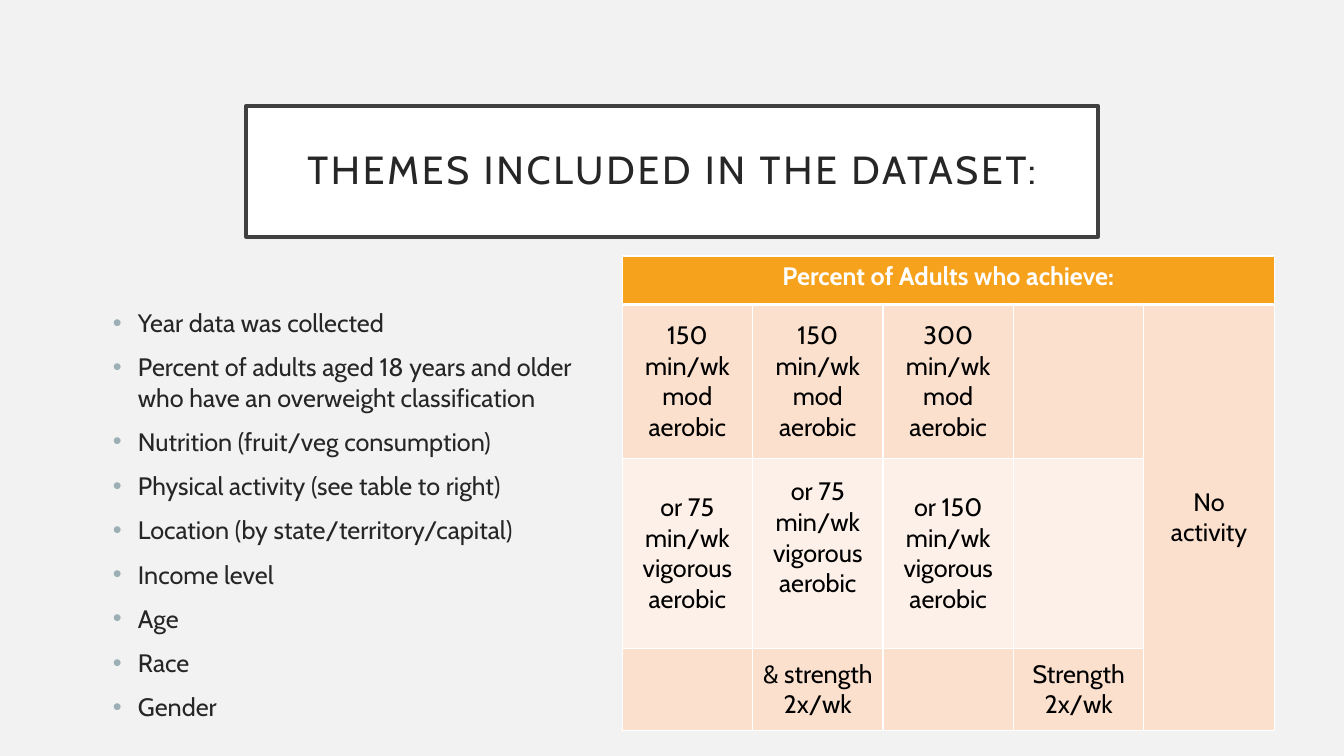
from pptx import Presentation
from pptx.dml.color import RGBColor
from pptx.enum.shapes import MSO_SHAPE
from pptx.enum.text import MSO_ANCHOR, PP_ALIGN
from pptx.oxml import parse_xml
from pptx.oxml.ns import nsdecls
from pptx.util import Inches, Pt

FONT = "Cabin"
COLORS = {
    "background": "F2F2F2", "white": "FFFFFF", "frame": "404040",
    "text": "262626", "bullet": "9BAFB5", "black": "000000",
    "header": "F6A21D", "band_dark": "FBE0CD", "band_light": "FDF0E8",
}
THEMES = [
    "Year data was collected",
    "Percent of adults aged 18 years and older who have an overweight classification",
    "Nutrition (fruit/veg consumption)",
    "Physical activity (see table to right)",
    "Location (by state/territory/capital)",
    "Income level",
    "Age",
    "Race",
    "Gender",
]
ACTIVITY = [
    ["Percent of Adults who achieve:", "", "", "", ""],
    ["150 min/wk mod aerobic", "150 min/wk mod aerobic", "300 min/wk mod aerobic",
     "", "No activity"],
    ["or 75 min/wk vigorous aerobic", "or 75 min/wk vigorous aerobic",
     "or 150 min/wk vigorous aerobic", "", ""],
    ["", "& strength 2x/wk", "", "Strength 2x/wk", ""],
]
ROW_HEIGHTS = [0.48, 1.53, 1.88, 0.82]
ROW_FILLS = ["header", "band_dark", "band_light", "band_dark"]


def rgb(name):
    return RGBColor.from_string(COLORS[name])


def add_run(p, text, size, color, bold=False):
    r = p.add_run()
    r.text = text
    r.font.name = FONT
    r.font.size = Pt(size)
    r.font.bold = bold
    r.font.color.rgb = rgb(color)
    return r


def add_title(s, text):
    sp = s.shapes.add_shape(MSO_SHAPE.RECTANGLE, Inches(2.44), Inches(1.05),
                            Inches(8.45), Inches(1.3))
    sp.shadow.inherit = False
    sp.fill.solid()
    sp.fill.fore_color.rgb = rgb("white")
    sp.line.color.rgb = rgb("frame")
    sp.line.width = Pt(2.5)
    tf = sp.text_frame
    tf.word_wrap = True
    tf.vertical_anchor = MSO_ANCHOR.MIDDLE
    tf.margin_left = tf.margin_right = Inches(0.2)
    tf.margin_top = tf.margin_bottom = Inches(0.2)
    p = tf.paragraphs[0]
    p.alignment = PP_ALIGN.CENTER
    p.line_spacing = 0.9
    r = add_run(p, text, 28, "text")
    r.font._element.set("spc", "200")


def set_bullet(p):
    pPr = p._p.get_or_add_pPr()
    pPr.set("marL", str(Inches(0.5)))
    pPr.set("indent", str(Inches(-0.25)))
    pPr.append(parse_xml(f'<a:buClr {nsdecls("a")}><a:srgbClr val="{COLORS["bullet"]}"/></a:buClr>'))
    pPr.append(parse_xml(f'<a:buFont {nsdecls("a")} typeface="Arial"/>'))
    pPr.append(parse_xml(f'<a:buChar {nsdecls("a")} char="•"/>'))


def add_bullets(s, items):
    tf = s.shapes.add_textbox(Inches(0.77), Inches(3), Inches(5.41), Inches(4.26)).text_frame
    tf.word_wrap = True
    for i, item in enumerate(items):
        p = tf.add_paragraph() if i else tf.paragraphs[0]
        p.space_before = Pt(10)
        set_bullet(p)
        add_run(p, item, 18, "text")


def set_borders(cell, bottom=1):
    """Draw white borders; they must come before the fill in the cell properties."""
    tcPr = cell._tc.get_or_add_tcPr()
    for i, (side, width) in enumerate(zip("LRTB", (1, 1, 1, bottom))):
        tcPr.insert(i, parse_xml(
            f'<a:ln{side} {nsdecls("a")} w="{Pt(width)}"><a:solidFill>'
            f'<a:srgbClr val="{COLORS["white"]}"/></a:solidFill></a:ln{side}>'))


def fill_cell(cell, text, fill, header):
    cell.fill.solid()
    cell.fill.fore_color.rgb = rgb(fill)
    set_borders(cell, bottom=3 if header else 1)
    cell.vertical_anchor = MSO_ANCHOR.TOP if header else MSO_ANCHOR.MIDDLE
    if text:
        p = cell.text_frame.paragraphs[0]
        p.alignment = PP_ALIGN.CENTER
        add_run(p, text, 18, "white" if header else "black", bold=header)


def add_activity_table(s):
    table = s.shapes.add_table(len(ACTIVITY), len(ACTIVITY[0]), Inches(6.17), Inches(2.54),
                               Inches(6.47), Inches(sum(ROW_HEIGHTS))).table
    for row, height in zip(table.rows, ROW_HEIGHTS):
        row.height = Inches(height)
    for i, (texts, fill) in enumerate(zip(ACTIVITY, ROW_FILLS)):
        for j, text in enumerate(texts):
            # The last column is one merged cell below the header
            cell_fill = "band_dark" if i and j == 4 else fill
            fill_cell(table.cell(i, j), text, cell_fill, header=i == 0)
    table.cell(0, 0).merge(table.cell(0, 4))
    table.cell(1, 4).merge(table.cell(3, 4))
    # This text sits half a line above the middle
    table.cell(2, 1).margin_bottom = Inches(0.36)


def main():
    prs = Presentation()
    prs.slide_width, prs.slide_height = Inches(13.33), Inches(7.5)
    s = prs.slides.add_slide(prs.slide_layouts[6])
    s.background.fill.solid()
    s.background.fill.fore_color.rgb = rgb("background")
    add_title(s, "THEMES INCLUDED IN THE DATASET:")
    add_bullets(s, THEMES)
    add_activity_table(s)
    prs.save("out.pptx")


if __name__ == "__main__":
    main()
